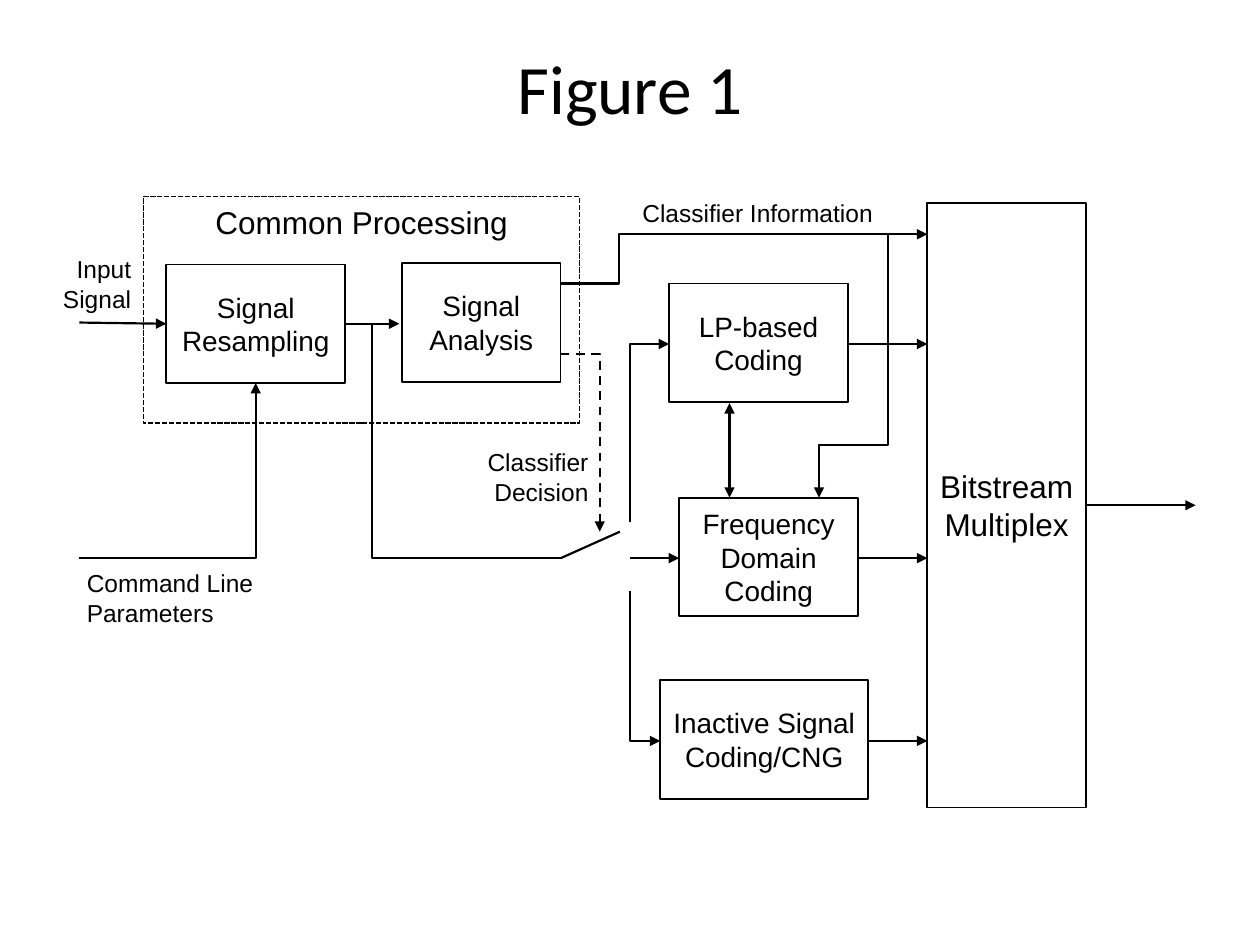
from lxml.etree import SubElement
from pptx import Presentation
from pptx.dml.color import RGBColor
from pptx.enum.dml import MSO_LINE
from pptx.enum.shapes import MSO_CONNECTOR, MSO_SHAPE
from pptx.enum.text import MSO_ANCHOR, MSO_AUTO_SIZE, PP_ALIGN
from pptx.oxml.ns import qn
from pptx.util import Inches, Pt

COLORS = {"ink": "000000", "paper": "FFFFFF"}


def color(name):
    """Return a named colour."""
    return RGBColor.from_string(COLORS[name])


def write(frame, lines, size, align, font="Arial"):
    """Write one paragraph for each line."""
    for index, line in enumerate(lines):
        para = frame.paragraphs[0] if index == 0 else frame.add_paragraph()
        para.alignment = align
        span = para.add_run()
        span.text = line
        span.font.size = Pt(size)
        span.font.name = font
        span.font.color.rgb = color("ink")


def add_title(page, text):
    """Place and format the title placeholder."""
    title = page.shapes.title
    title.left, title.top = Inches(0.5), Inches(0.3)
    title.width, title.height = Inches(9), Inches(0.77)
    title.text_frame.vertical_anchor = MSO_ANCHOR.MIDDLE
    write(title.text_frame, [text], 39.6, PP_ALIGN.CENTER, "Calibri")


def add_block(page, place, lines, size=16, anchor=MSO_ANCHOR.MIDDLE, dash=None):
    """Add an outlined block with centred text."""
    box = page.shapes.add_shape(MSO_SHAPE.RECTANGLE, *map(Inches, place))
    box.shadow.inherit = False
    box.fill.solid()
    box.fill.fore_color.rgb = color("paper")
    box.line.color.rgb = color("ink")
    box.line.width = Pt(1)
    box.line.dash_style = dash
    frame = box.text_frame
    frame.word_wrap = True
    frame.margin_left = frame.margin_right = Inches(0.05)
    frame.vertical_anchor = anchor
    write(frame, lines, size, PP_ALIGN.CENTER)


def add_label(page, place, lines, align=PP_ALIGN.LEFT):
    """Add a label beside a signal line."""
    frame = page.shapes.add_textbox(*map(Inches, place)).text_frame
    frame.word_wrap = False
    frame.auto_size = MSO_AUTO_SIZE.SHAPE_TO_FIT_TEXT
    write(frame, lines, 14, align)


def style_line(wire, ends, dash=None):
    """Set the stroke and arrowheads; ends names the tips that get one."""
    wire.line.color.rgb = color("ink")
    wire.line.width = Pt(1.25)
    wire.line.dash_style = dash
    outline = wire.line._get_or_add_ln()
    for end in ends:
        SubElement(outline, qn(f"a:{end}"), type="triangle")
    SubElement(wire._element.spPr, qn("a:effectLst"))


def add_line(page, start, end, ends=("tailEnd",)):
    """Add a straight signal line."""
    points = map(Inches, (*start, *end))
    wire = page.shapes.add_connector(MSO_CONNECTOR.STRAIGHT, *points)
    style_line(wire, ends)


def turn_upright(wire, start, end):
    """Rotate an elbow so that its first leg is vertical."""
    across, down = end[0] - start[0], end[1] - start[1]
    width, height = abs(down), abs(across)
    wire.left = Inches((start[0] + end[0] - width) / 2)
    wire.top = Inches((start[1] + end[1] - height) / 2)
    wire.width, wire.height = Inches(width), Inches(height)
    both = across > 0 and down > 0
    frame = wire._element.spPr.find(qn("a:xfrm"))
    frame.set("rot", str((270 if both else 90) * 60000))
    frame.set("flipH", str(int(both or down < 0)))
    frame.set("flipV", str(int(across > 0 and not both)))


def add_elbow(page, start, end, bend=None, upright=False,
              ends=("tailEnd",), dash=None):
    """Add a bent line: one corner, or two with the middle leg at bend."""
    points = map(Inches, (*start, *end))
    wire = page.shapes.add_connector(MSO_CONNECTOR.ELBOW, *points)
    if upright:
        turn_upright(wire, start, end)
    shape = wire._element.spPr.find(qn("a:prstGeom"))
    if bend is None:
        shape.set("prst", "bentConnector2")
    else:
        guides = shape.find(qn("a:avLst"))
        if guides is None:
            guides = SubElement(shape, qn("a:avLst"))
        SubElement(guides, qn("a:gd"), name="adj1",
                   fmla=f"val {round(bend * 100000)}")
    style_line(wire, ends, dash)


def main():
    """Build the encoder diagram."""
    deck = Presentation()
    deck.slide_width, deck.slide_height = Inches(10), Inches(7.5)
    page = deck.slides.add_slide(deck.slide_layouts[5])
    add_title(page, "Figure 1")

    add_block(page, (1.14, 1.56, 3.46, 1.8), ["Common Processing"], 18,
              MSO_ANCHOR.TOP, MSO_LINE.SQUARE_DOT)
    add_block(page, (7.36, 1.61, 1.26, 4.8), ["Bitstream Multiplex"], 18)
    for left, top, width, lines in (
        (1.32, 2.1, 1.42, ["Signal Resampling"]),
        (3.19, 2.09, 1.26, ["Signal Analysis"]),
        (5.31, 2.25, 1.42, ["LP-based", "Coding"]),
        (5.39, 3.95, 1.42, ["Frequency Domain", "Coding"]),
        (5.24, 5.4, 1.65, ["Inactive Signal", "Coding/CNG"]),
    ):
        add_block(page, (left, top, width, 0.94), lines)

    for start, end in (
        ((0.63, 2.56), (1.32, 2.57)),
        ((2.73, 2.57), (3.17, 2.57)),
        ((5, 4.43), (5.39, 4.43)),
        ((6.73, 2.73), (7.36, 2.73)),
        ((6.81, 4.43), (7.36, 4.43)),
        ((6.89, 5.88), (7.36, 5.88)),
        ((8.62, 4.01), (9.49, 4.01)),
    ):
        add_line(page, start, end)
    add_line(page, (5.79, 3.2), (5.79, 3.95), ("headEnd", "tailEnd"))
    add_line(page, (4.45, 4.43), (4.92, 4.22), ())

    add_elbow(page, (4.45, 2.25), (7.36, 1.86), bend=0.16)
    add_elbow(page, (7.05, 1.86), (6.5, 3.95), bend=0.8, upright=True)
    add_elbow(page, (0.63, 4.43), (2.03, 3.04))
    add_elbow(page, (2.95, 2.57), (4.45, 4.43), upright=True, ends=())
    add_elbow(page, (5, 4.14), (5.31, 2.73), upright=True)
    add_elbow(page, (5, 4.69), (5.24, 5.88), upright=True)
    add_elbow(page, (4.45, 2.81), (4.76, 4.22), dash=MSO_LINE.DASH)

    add_label(page, (0.59, 4.46, 1.58, 0.57), ["Command Line", "Parameters"])
    add_label(page, (5, 1.52, 2.04, 0.34), ["Classifier Information"])
    add_label(page, (3.76, 3.5, 1.01, 0.57), ["Classifier", "Decision"],
              PP_ALIGN.RIGHT)
    add_label(page, (0.39, 1.97, 0.75, 0.57), ["Input", "Signal"],
              PP_ALIGN.RIGHT)
    deck.save("out.pptx")


main()
